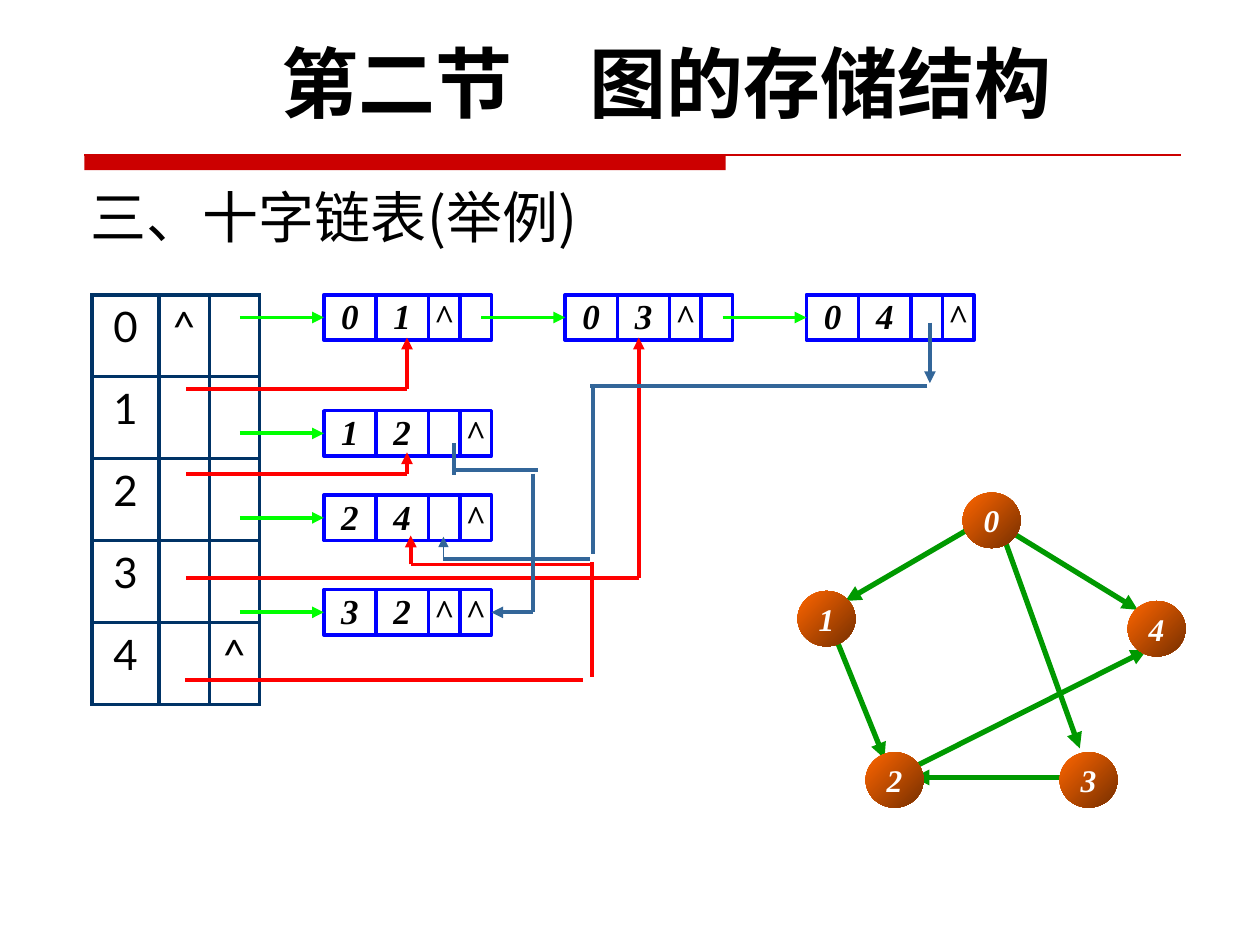
"""Builds a slide showing an orthogonal list beside its directed graph."""
import dataclasses

import lxml.etree
import pptx
import pptx.dml.color
import pptx.enum.shapes
import pptx.enum.text
import pptx.oxml
import pptx.oxml.ns
import pptx.util

SHAPE = pptx.enum.shapes.MSO_SHAPE
ALIGN = pptx.enum.text.PP_ALIGN
ANCHOR = pptx.enum.text.MSO_ANCHOR
NO_FIT = pptx.enum.text.MSO_AUTO_SIZE.NONE
WIDTH, HEIGHT = pptx.util.Inches(10), pptx.util.Inches(7.5)
COLUMNS, ROWS = 100, 75


@dataclasses.dataclass(frozen=True)
class Theme:
    """Colours, fonts and line widths of the slide."""
    black: str = "000000"
    white: str = "FFFFFF"
    banner: str = "CC0000"
    table: str = "003366"
    node: str = "0000FF"
    row_link: str = "00FF00"
    column_head: str = "FF0000"
    column_link: str = "336699"
    edge: str = "009900"
    vertex: tuple = ("FF6600", "762F00")
    sans: str = "Lato"
    chinese: str = "Noto Sans CJK SC"
    serif: str = "Times New Roman"
    heading: int = 44
    title: int = 32
    index: int = 24
    cell: int = 20
    label: int = 18
    thin: float = 0.75
    node_line: float = 2
    line: float = 2.25
    edge_line: float = 3


@dataclasses.dataclass(frozen=True)
class Box:
    """A region measured in grid columns and rows."""
    left: float
    top: float
    width: float
    height: float

    def inner(self, left, top, width=0, height=0):
        """Return a box placed relative to this one."""
        return Box(self.left + left, self.top + top, width, height)

    def frame(self):
        """Return left, top, width and height as lengths."""
        column, row = WIDTH / COLUMNS, HEIGHT / ROWS
        return (round(self.left * column), round(self.top * row),
                round(self.width * column), round(self.height * row))


THEME = Theme()
SERIF = {"name": THEME.serif, "bold": True, "italic": True}


def rgb(value):
    """Return a colour object for a hex value."""
    return pptx.dml.color.RGBColor.from_string(value)


def set_all(target, values):
    """Set each named attribute of the target."""
    for name, value in values.items():
        setattr(target, name, value)


def write(frame, text, size, color, font, align=ALIGN.CENTER, **layout):
    """Write one formatted paragraph into a text frame."""
    set_all(frame, {"word_wrap": True, **layout})
    paragraph = frame.paragraphs[0]
    paragraph.alignment = align
    run = paragraph.add_run()
    run.text = text
    set_all(run.font, {"size": pptx.util.Pt(size), **font})
    run.font.color.rgb = rgb(color)
    east_asian = lxml.etree.SubElement(run.font._element, pptx.oxml.ns.qn("a:ea"))
    east_asian.set("typeface", THEME.chinese)


def add_line(shapes, box, start, end, color, width, arrow=False):
    """Draw a straight line between two points of a box."""
    left, top = box.inner(*start).frame()[:2]
    right, bottom = box.inner(*end).frame()[:2]
    line = shapes.add_connector(pptx.enum.shapes.MSO_CONNECTOR.STRAIGHT, left, top, right, bottom)
    line.line.width = pptx.util.Pt(width)
    line.line.color.rgb = rgb(color)
    if arrow:
        tail = lxml.etree.SubElement(line.line._get_or_add_ln(), pptx.oxml.ns.qn("a:tailEnd"))
        tail.set("type", "triangle")
    lxml.etree.SubElement(line._element.spPr, pptx.oxml.ns.qn("a:effectLst"))
    return line


def add_header(slide, box):
    """Place the heading, the banner rule and the title."""
    heading = slide.shapes.add_textbox(*box.inner(0, 0, 92.5, 8.4).frame())
    write(heading.text_frame, "第二节\u3000图的存储结构".replace("\u3000", "　"), THEME.heading,
          THEME.black, {"name": THEME.sans, "bold": True})
    banner = slide.shapes.add_shape(SHAPE.RECTANGLE, *box.inner(0, 10, 50.9, 1.2).frame())
    banner.shadow.inherit = False
    banner.fill.solid()
    banner.fill.fore_color.rgb = rgb(THEME.banner)
    banner.line.fill.background()
    add_line(slide.shapes, box, (0, 10), (87, 10), THEME.banner, THEME.thin)
    title = slide.shapes.title
    set_all(title, dict(zip(("left", "top", "width", "height"),
                            box.inner(-0.5, 10.5, 72.5, 7.5).frame())))
    write(title.text_frame, "三、十字链表(举例)", THEME.title, THEME.black,
          {"name": THEME.chinese, "bold": False}, ALIGN.LEFT,
          vertical_anchor=ANCHOR.BOTTOM, auto_size=NO_FIT)


def add_borders(cell):
    """Give a table cell a border on every side."""
    properties = cell._tc.get_or_add_tcPr()
    for position, side in enumerate(("lnL", "lnR", "lnT", "lnB")):
        border = pptx.oxml.parse_xml(
            f'<a:{side} {pptx.oxml.ns.nsdecls("a")} w="{pptx.util.Pt(THEME.line)}">'
            f'<a:solidFill><a:srgbClr val="{THEME.table}"/></a:solidFill></a:{side}>')
        properties.insert(position, border)


def add_index(slide, box):
    """Place the table of list heads."""
    texts = (("0", "^", ""), ("1", "", ""), ("2", "", ""), ("3", "", ""), ("4", "", "^"))
    table = slide.shapes.add_table(len(texts), 3, *box.frame()).table
    set_all(table, {"first_row": False, "horz_banding": False})
    for column, share in zip(table.columns, (0.4, 0.3, 0.3)):
        column.width = round(box.frame()[2] * share)
    for row, values in enumerate(texts):
        for column, text in enumerate(values):
            cell = table.cell(row, column)
            cell.fill.background()
            add_borders(cell)
            if text:
                write(cell.text_frame, text, THEME.index, THEME.black, {"name": THEME.sans})


def add_node(slide, box, texts):
    """Place one list node and return its cells."""
    group, cells, left = slide.shapes.add_group_shape(), [], 0
    for text, width in zip(texts, (4.15, 4.15, 2.5, 2.5)):
        cell = group.shapes.add_shape(SHAPE.RECTANGLE,
                                      *box.inner(left, 0, width, box.height).frame())
        cell.shadow.inherit = False
        cell.fill.background()
        cell.line.color.rgb = rgb(THEME.node)
        cell.line.width = pptx.util.Pt(THEME.node_line)
        if text.strip():
            write(cell.text_frame, text, THEME.cell, THEME.black, SERIF,
                  vertical_anchor=ANCHOR.TOP, margin_left=0, margin_right=0,
                  margin_top=0, margin_bottom=0)
        cells.append(cell)
        left += width
    return cells


def add_lists(slide, box):
    """Place the list heads, the nodes and all their pointers."""
    add_index(slide, box.inner(0, 0, 13.3, box.height))
    chains = ((0, ("01^ ", "03^ ", "04 ^")), (9.2, ("12 ^",)),
              (15.9, ("24 ^",)), (23.4, ("32^^",)))
    for top, chain in chains:
        for position, texts in enumerate(chain):
            left = 18.4 + 19.15 * position
            cells = add_node(slide, box.inner(left, top, 13.3, 3.6), texts)
            start = (left - 6.65, top + 1.8)
            link = add_line(slide.shapes, box, start, (left, top + 1.8),
                            THEME.row_link, THEME.line, True)
            link.end_connect(cells[0], 1)
    red, blue, line = THEME.column_head, THEME.column_link, THEME.line
    routes = (
        (red, line, True, ((7.5, 7.5), (25, 7.5), (25, 3.4))),
        (red, line, True, ((7.5, 14.2), (25, 14.2), (25, 12.5))),
        (red, line, True, ((7.5, 22.5), (43.4, 22.5), (43.4, 3.4))),
        (red, line, False, ((7.4, 30.6), (39, 30.6))),
        (red, line, False, ((39.7, 30.3), (39.7, 21.2))),
        (red, line, True, ((39.7, 21.4), (25.3, 21.4), (25.3, 19.1))),
        (blue, line, False, ((28.7, 11.8), (28.7, 14.3))),
        (blue, line, False, ((28.7, 13.9), (35.4, 13.9))),
        (blue, line, True, ((35, 14.2), (35, 25.2), (31.7, 25.2))),
        (blue, line, True, ((66.5, 2.2), (66.5, 7))),
        (blue, line, False, ((66.3, 7.2), (39.5, 7.2))),
        (blue, line, False, ((39.8, 7.2), (39.8, 20.6))),
        (blue, line, False, ((39.5, 21), (27.9, 21))),
        (blue, THEME.thin, True, ((27.9, 20.8), (27.9, 19.2))))
    for color, width, arrow, points in routes:
        for start, end in zip(points, points[1:]):
            pointer = add_line(slide.shapes, box, start, end, color, width,
                               arrow and end == points[-1])
            if end == (31.7, 25.2):
                pointer.end_connect(cells[-1], 3)


def add_graph(slide, box):
    """Place the directed graph with its edges behind its vertices."""
    shapes = slide.shapes.add_group_shape().shapes
    edges = (((16.9, 3.1), (27, 9.3)), ((3.1, 11.7), (6.9, 21.1)),
             ((14.6, 2.3), (3.8, 8.6)), ((16.2, 3.1), (22.4, 20.3)),
             ((20.8, 22.6), (9.2, 22.6)), ((9.2, 21.8), (27.7, 12.5)))
    for start, end in edges:
        add_line(shapes, box, start, end, THEME.edge, THEME.edge_line, True)
    places = ((13.1, 0), (0, 7.8), (5.4, 20.6), (20.8, 20.6), (26.2, 8.6))
    for label, place in enumerate(places):
        vertex = shapes.add_shape(SHAPE.OVAL, *box.inner(*place, 4.6, 4.4).frame())
        vertex.shadow.inherit = False
        vertex.fill.gradient()
        vertex.fill.gradient_angle = 315
        for stop, color in zip(vertex.fill.gradient_stops, THEME.vertex):
            stop.color.rgb = rgb(color)
        vertex.line.fill.background()
        write(vertex.text_frame, str(label), THEME.label, THEME.white, SERIF,
              word_wrap=False, vertical_anchor=ANCHOR.MIDDLE, margin_left=0, margin_right=0)


def main():
    """Build and save the presentation."""
    presentation = pptx.Presentation()
    set_all(presentation, {"slide_width": WIDTH, "slide_height": HEIGHT})
    slide = presentation.slides.add_slide(presentation.slide_layouts[5])
    add_header(slide, Box(6.7, 2.3, 92.5, 18))
    add_lists(slide, Box(7.3, 23.4, 67.5, 32.5))
    add_graph(slide, Box(63.3, 39.1, 30.8, 25))
    presentation.save("out.pptx")


if __name__ == "__main__":
    main()
